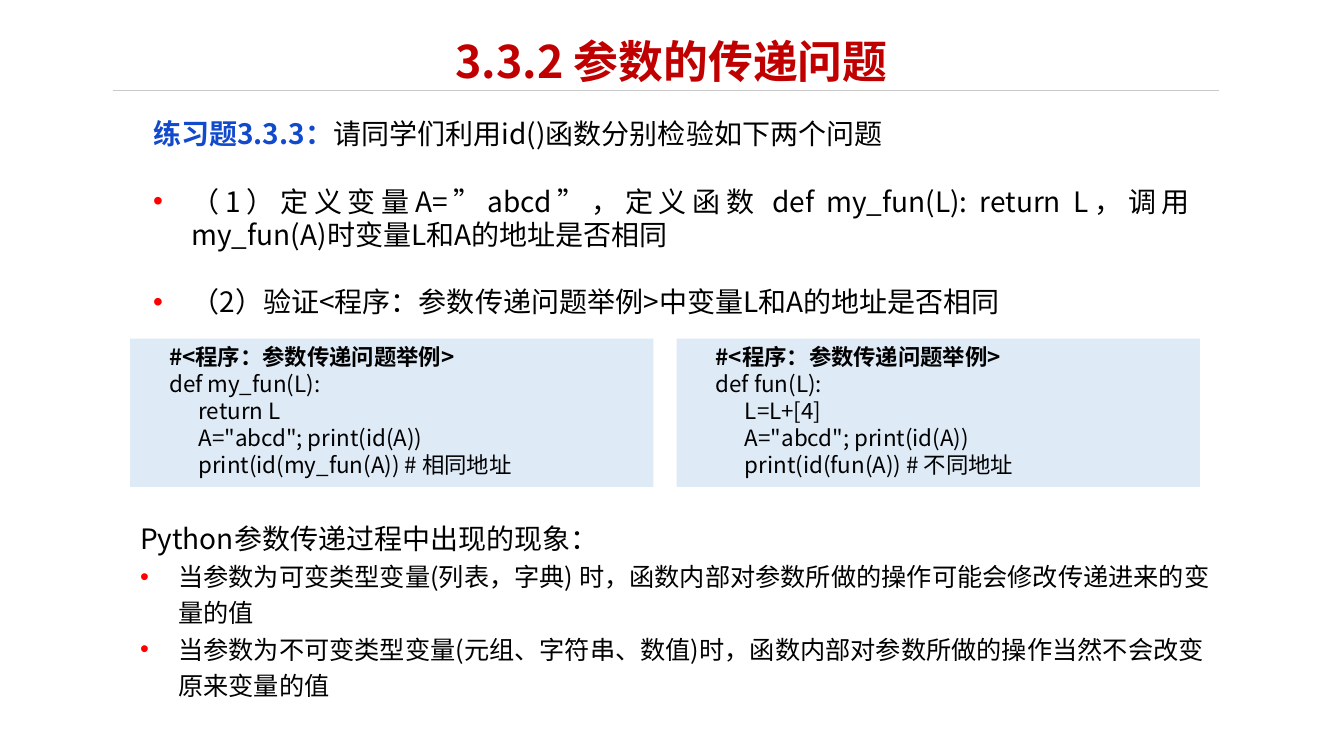
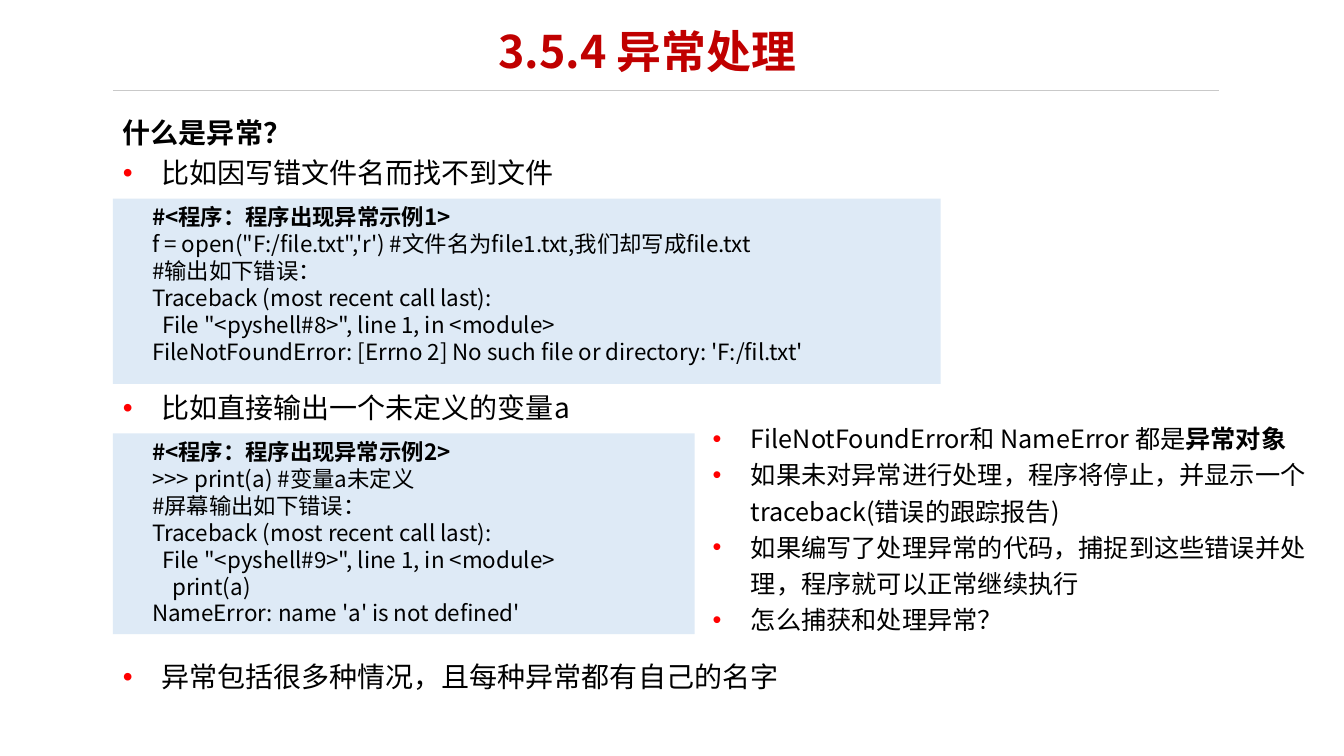
from lxml import etree
from pptx import Presentation
from pptx import util as u
from pptx.dml import color
from pptx.enum import shapes, text
from pptx.oxml import ns

FONT = "Noto Sans CJK SC"
RED, BLUE, BLACK = "C00000", "124ACD", "000000"
BULLET, RULE, CODE_FILL = "FF0000", "C9C9C9", "DEEAF6"
LINE_HEIGHT = 1.2   # line pitch in relation to the text size
HANG = 0.38         # hanging indent of bullets
CODE_INDENT = 0.29
JUSTIFY = text.PP_ALIGN.JUSTIFY


def rgb(value):
    return color.RGBColor.from_string(value)


def child(parent, tag, **attributes):
    return etree.SubElement(parent, ns.qn(tag), attributes)


# Text
def add_span(para, words, size, ink=BLACK, bold=False):
    span = para.add_run()
    span.text = words
    font = span.font
    font.name, font.size, font.bold = FONT, u.Pt(size), bold
    font.color.rgb = rgb(ink)
    properties = span._r.get_or_add_rPr()
    properties.set("lang", "zh-CN")
    child(properties, "a:ea", typeface=FONT)


def add_para(frame, spans, size, spacing=1.0, align=None, before=0,
             left=0.0, first=0.0, bullet=False):
    """Add a paragraph; each span is (words,) or (words, ink, bold)."""
    para = frame.paragraphs[0]
    if para.runs:
        para = frame.add_paragraph()
    para.alignment = align
    para.line_spacing = u.Pt(size * LINE_HEIGHT * spacing)
    para.space_before = u.Pt(before)
    if bullet:
        left, first = HANG, -HANG
    properties = para._p.get_or_add_pPr()
    properties.set("marL", str(u.Inches(left)))
    properties.set("indent", str(u.Inches(first)))
    if bullet:
        child(child(properties, "a:buClr"), "a:srgbClr", val=BULLET)
        child(properties, "a:buFont", typeface="Arial")
        child(properties, "a:buChar", char="•")
    for span in spans:
        add_span(para, span[0], size, *span[1:])


def add_text(page, left, top, width, height):
    box = page.shapes.add_textbox(*map(u.Inches, (left, top, width, height)))
    box.text_frame.word_wrap = True
    return box.text_frame


# Shared page frame
def add_page(deck, title, left, top):
    page = deck.slides.add_slide(deck.slide_layouts[6])
    rule = page.shapes.add_connector(
        shapes.MSO_CONNECTOR.STRAIGHT,
        *map(u.Inches, (1.12, 0.9, 12.09, 0.9)))
    rule.line.color.rgb = rgb(RULE)
    rule.line.width = u.Pt(1)
    child(rule._element.spPr, "a:effectLst")
    frame = add_text(page, left, top, 8.62, 0.71)
    add_para(frame, [(title, RED, True)], 32, 0.9, text.PP_ALIGN.CENTER)
    return page


# Program listing: each line is (words, extra indent)
def add_code(page, left, top, width, height, heading, lines):
    box = page.shapes.add_shape(
        shapes.MSO_SHAPE.RECTANGLE,
        *map(u.Inches, (left, top, width, height)))
    box.shadow.inherit = False
    box.fill.solid()
    box.fill.fore_color.rgb = rgb(CODE_FILL)
    box.line.fill.background()
    frame = box.text_frame
    frame.word_wrap = True
    frame.vertical_anchor = text.MSO_ANCHOR.TOP
    add_para(frame, [(heading, BLACK, True)], 16, align=JUSTIFY,
             first=CODE_INDENT)
    for words, extra in lines:
        add_para(frame, [(words,)], 16, align=JUSTIFY, left=extra,
                 first=CODE_INDENT)


def build_parameters(deck):
    page = add_page(deck, "3.3.2 参数的传递问题", 2.35, 0.34)

    # Exercise
    frame = add_text(page, 1.42, 1.11, 10.48, 2.12)
    add_para(frame, [("练习题3.3.3：", BLUE, True),
                     ("请同学们利用id()函数分别检验如下两个问题",)],
             20, align=JUSTIFY)
    for words in (
            "（1）定义变量A=”abcd”，定义函数 def my_fun(L): return L，"
            "调用my_fun(A)时变量L和A的地址是否相同",
            "（2）验证<程序：参数传递问题举例>中变量L和A的地址是否相同"):
        add_para(frame, [(words,)], 20, align=JUSTIFY, before=24, bullet=True)

    # Two programs side by side
    programs = [
        ("my_fun", "return L", "相同地址"),
        ("fun", "L=L+[4]", "不同地址"),
    ]
    for column, (name, body, result) in enumerate(programs):
        add_code(page, 1.29 + column * 5.42, 3.36, 5.19, 1.47,
                 "#<程序：参数传递问题举例>",
                 [(f"def {name}(L):", 0),
                  (body, CODE_INDENT),
                  ('A="abcd"; print(id(A))', CODE_INDENT),
                  (f"print(id({name}(A)) # {result}", CODE_INDENT)])

    # Findings
    frame = add_text(page, 1.29, 5.06, 10.85, 1.93)
    add_para(frame, [("Python参数传递过程中出现的现象：",)], 20, 1.2)
    for words in (
            "当参数为可变类型变量(列表，字典) 时，"
            "函数内部对参数所做的操作可能会修改传递进来的变量的值",
            "当参数为不可变类型变量(元组、字符串、数值)时，"
            "函数内部对参数所做的操作当然不会改变原来变量的值"):
        add_para(frame, [(words,)], 18, 1.2, bullet=True)


def build_exceptions(deck):
    page = add_page(deck, "3.5.4 异常处理", 2.11, 0.24)

    # Main points, spaced to leave room for the programs
    frame = add_text(page, 1.12, 1.03, 9.19, 5.96)
    add_para(frame, [("什么是异常？", BLACK, True)], 20, 1.2)
    for words, spacing, before in (
            ("比如因写错文件名而找不到文件", 1.2, 0),
            ("比如直接输出一个未定义的变量a", 1.0, 144),
            ("异常包括很多种情况，且每种异常都有自己的名字", 1.0, 168)):
        add_para(frame, [(words,)], 20, spacing, before=before, bullet=True)

    # Programs
    add_code(page, 1.12, 1.97, 8.21, 1.84, "#<程序：程序出现异常示例1>", [
        ("f = open(\"F:/file.txt\",'r') #文件名为file1.txt,我们却写成file.txt", 0),
        ("#输出如下错误：", 0),
        ("Traceback (most recent call last):", 0),
        ('File "<pyshell#8>", line 1, in <module>', 0.1),
        ("FileNotFoundError: [Errno 2] No such file or directory: "
         "'F:/fil.txt'", 0),
    ])
    add_code(page, 1.12, 4.3, 5.77, 1.99, "#<程序：程序出现异常示例2>", [
        (">>> print(a) #变量a未定义", 0),
        ("#屏幕输出如下错误：", 0),
        ("Traceback (most recent call last):", 0),
        ('File "<pyshell#9>", line 1, in <module>', 0.1),
        ("print(a)", 0.2),
        ("NameError: name 'a' is not defined'", 0),
    ])

    # Remarks
    frame = add_text(page, 6.97, 4.09, 6.1, 2.25)
    for spans in (
            [("FileNotFoundError和 NameError 都是",),
             ("异常对象", BLACK, True)],
            [("如果未对异常进行处理，程序将停止，"
              "并显示一个traceback(错误的跟踪报告)",)],
            [("如果编写了处理异常的代码，捕捉到这些错误并处理，"
              "程序就可以正常继续执行",)],
            [("怎么捕获和处理异常？",)]):
        add_para(frame, spans, 18, 1.2, bullet=True)


def main():
    deck = Presentation()
    deck.slide_width, deck.slide_height = u.Inches(13.33), u.Inches(7.5)
    build_parameters(deck)
    build_exceptions(deck)
    deck.save("out.pptx")


if __name__ == "__main__":
    main()
